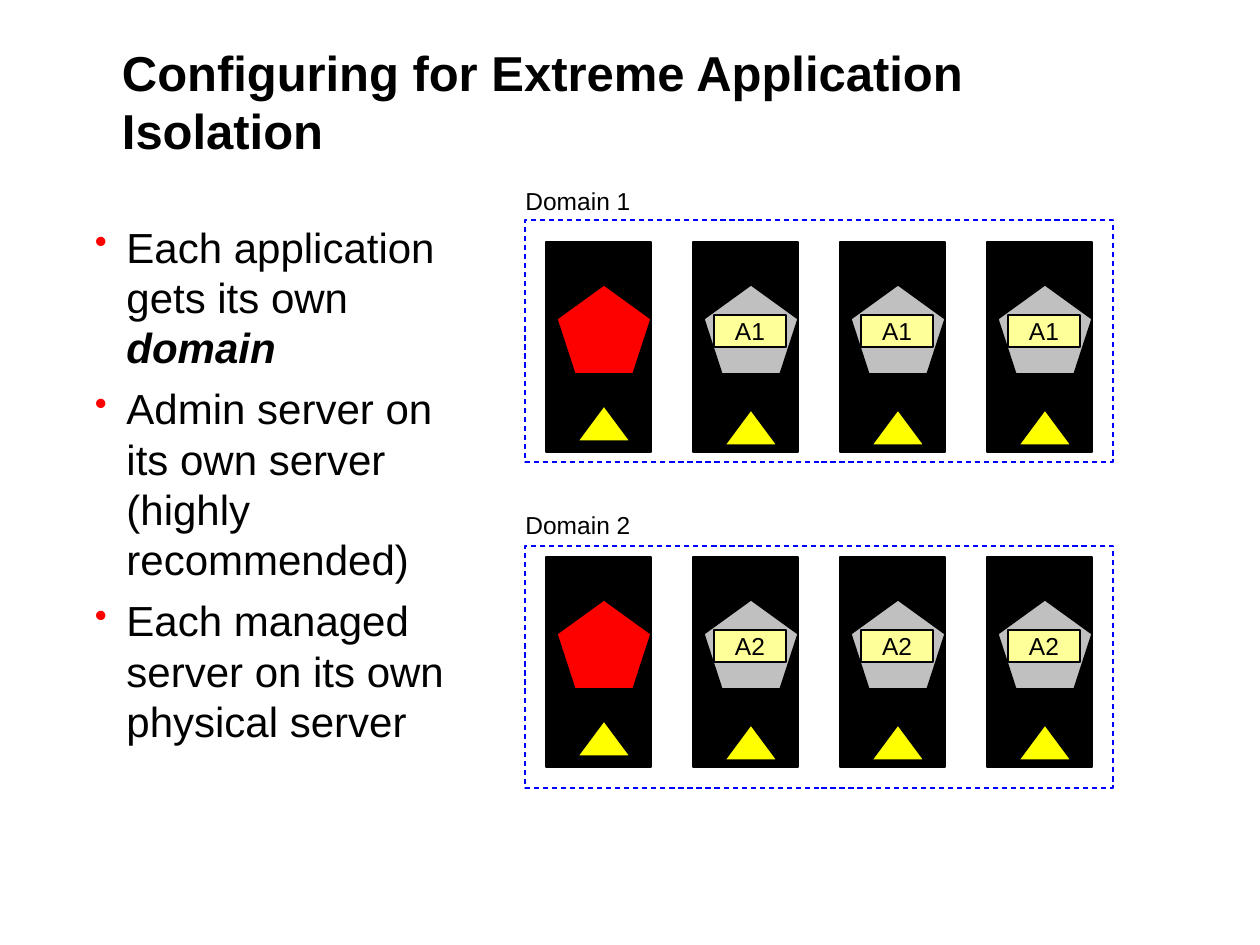
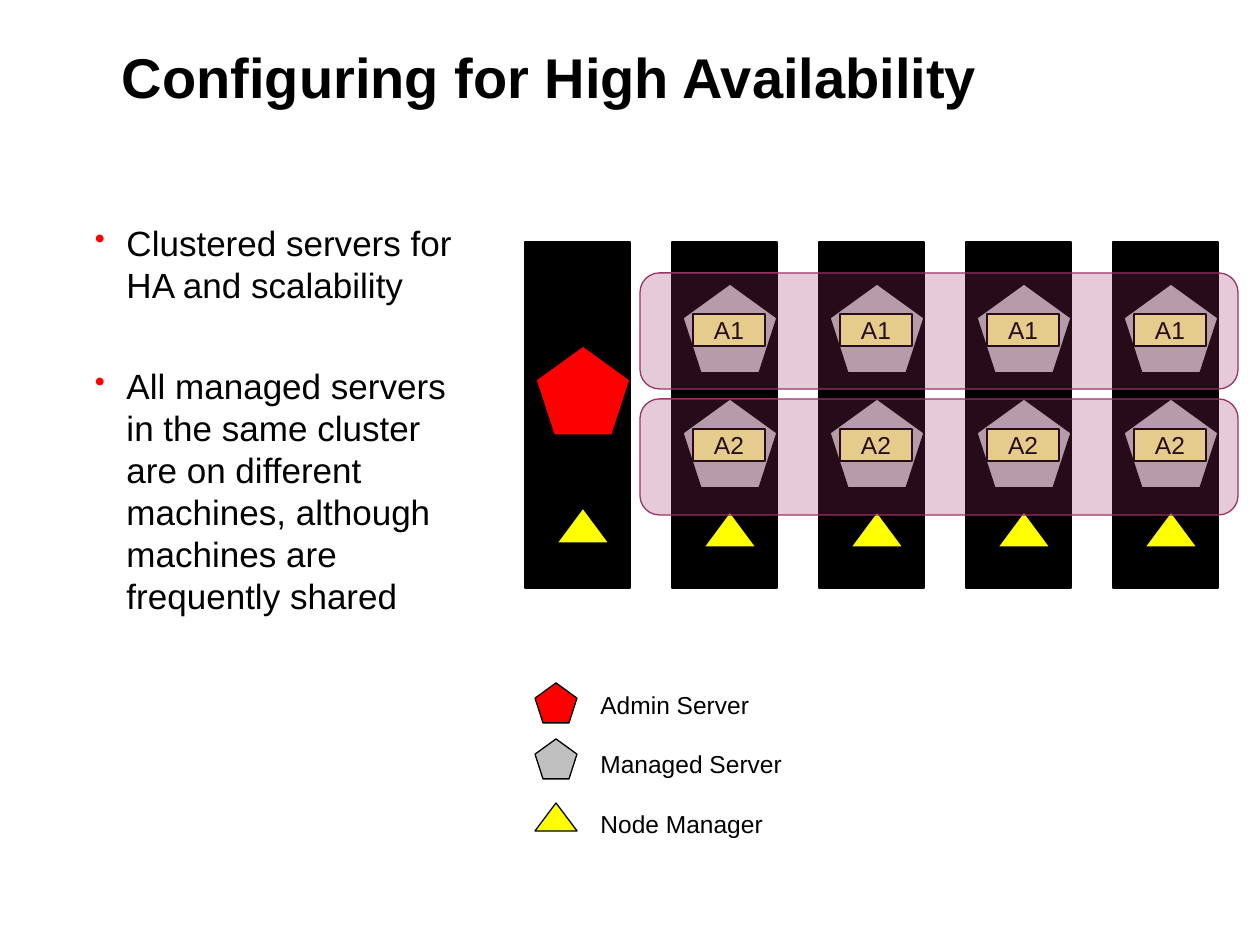
from lxml import etree
from pptx import Presentation
from pptx import util as u
from pptx.dml.color import RGBColor
from pptx.enum import dml, shapes, text
from pptx.oxml.ns import qn

PX_PER_INCH = 126
FONT = "Arial"
COLORS = {
    "ink": "000000",
    "admin": "FD0000",
    "managed": "C0C0C0",
    "node": "FFFF00",
    "app": "FFFF99",
    "domain": "0000FF",
    "cluster": "993366",
}
RECT = shapes.MSO_SHAPE.RECTANGLE
PENTAGON = shapes.MSO_SHAPE.REGULAR_PENTAGON
TRIANGLE = shapes.MSO_SHAPE.ISOSCELES_TRIANGLE
ROUNDED = shapes.MSO_SHAPE.ROUNDED_RECTANGLE

MACHINE_WIDTH, MACHINE_PITCH = 105, 147


def px(length):
    return u.Emu(round(length * 914400 / PX_PER_INCH))


def color(name):
    return RGBColor.from_string(COLORS[name])


def set_font(paragraph, size, bold=False):
    font = paragraph.font
    font.name, font.size, font.bold = FONT, u.Pt(size), bold
    font.color.rgb = color("ink")


def add_part(slide, preset, box, fill=None, line="ink"):
    part = slide.shapes.add_shape(preset, *map(px, box))
    part.shadow.inherit = False
    if fill:
        part.fill.solid()
        part.fill.fore_color.rgb = color(fill)
    else:
        part.fill.background()
    part.line.color.rgb = color(line)
    part.line.width = u.Pt(0.75)
    return part


def add_text(slide, box, lines, size, bold=False, gap=0, inset=True, wrap=True):
    frame = slide.shapes.add_textbox(*map(px, box)).text_frame
    frame.word_wrap = wrap
    if not inset:
        frame.margin_left = frame.margin_right = 0
        frame.margin_top = frame.margin_bottom = 0
    for index, line in enumerate(lines):
        paragraph = frame.add_paragraph() if index else frame.paragraphs[0]
        paragraph.text = line
        if index and gap:
            paragraph.space_before = u.Pt(gap)
        set_font(paragraph, size, bold)
    return frame


def add_bullet(paragraph):
    props = paragraph._p.get_or_add_pPr()
    props.set("marL", str(u.Inches(0.25)))
    props.set("indent", str(-u.Inches(0.25)))
    tint = etree.SubElement(props, qn("a:buClr"))
    etree.SubElement(tint, qn("a:srgbClr"), val=COLORS["admin"])
    etree.SubElement(props, qn("a:buSzPct"), val="85000")
    etree.SubElement(props, qn("a:buChar"), char="•")


# Title and bullet column shared by both slides
def add_title(slide, title, size):
    add_text(slide, (122, 42, 1045, 130), [title], size, bold=True, inset=False)


def add_bullets(slide, width, points, size, gap):
    frame = add_text(slide, (95, 221, width, 599), points, size, inset=False)
    for index, paragraph in enumerate(frame.paragraphs):
        add_bullet(paragraph)
        if index:
            paragraph.space_before = u.Pt(gap)
    return frame


# Servers, placed relative to the top left corner of their machine
def add_machine(slide, x, y, height):
    add_part(slide, RECT, (x, y, MACHINE_WIDTH, height), "ink")


def add_server(slide, x, y, kind):
    add_part(slide, PENTAGON, (x + 11, y, 94, 89), kind)


def add_node_manager(slide, x, y):
    add_part(slide, TRIANGLE, (x + 32, y, 52, 35), "node")


def add_managed_server(slide, x, y, app):
    add_server(slide, x, y, "managed")
    label = add_part(slide, RECT, (x + 21, y + 30, 72, 32), "app")
    frame = label.text_frame
    frame.vertical_anchor = text.MSO_ANCHOR.MIDDLE
    paragraph = frame.paragraphs[0]
    paragraph.text = app
    paragraph.alignment = text.PP_ALIGN.CENTER
    set_font(paragraph, 14)


def add_machines(slide, x, y, height, count, admin_y, node_y, app_rows):
    """One admin machine, then managed machines; app_rows maps app to its y."""
    for column in range(count):
        left = x + column * MACHINE_PITCH
        add_machine(slide, left, y, height)
        if column == 0:
            add_server(slide, left, y + admin_y, "admin")
            add_node_manager(slide, left, y + node_y - 4)
        else:
            add_node_manager(slide, left, y + node_y)
            for app, row_y in app_rows.items():
                add_managed_server(slide, left, y + row_y, app)


def add_domain(slide, x, y, name, app, machines_y, label_y):
    add_machines(slide, x + 21, y + machines_y, 210, 4, 43, 168, {app: 43})
    border = add_part(slide, RECT, (x, y, 588, 242), line="domain")
    border.line.dash_style = dml.MSO_LINE.DASH
    add_text(slide, (x - 12, y + label_y, 130, 43), [name], 14, wrap=False)


def add_cluster(slide, x, y):
    band = add_part(slide, ROUNDED, (x, y, 598, 116), "cluster", "cluster")
    tint = band._element.spPr.find(qn("a:solidFill")).find(qn("a:srgbClr"))
    etree.SubElement(tint, qn("a:alpha"), val="25000")


def add_legend(slide, x, y):
    add_part(slide, PENTAGON, (x, y, 42, 40), "admin")
    add_part(slide, PENTAGON, (x, y + 56, 42, 40), "managed")
    add_part(slide, TRIANGLE, (x, y + 120, 42, 28), "node")
    names = ["Admin Server", "Managed Server", "Node Manager"]
    add_text(slide, (x + 53, y + 1, 231, 160), names, 14, gap=17)


def build_isolation(slide):
    add_title(slide, "Configuring for Extreme Application Isolation", 28)
    points = [
        "Each application gets its own ",
        "Admin server on its own server (highly recommended)",
        "Each managed server on its own physical server",
    ]
    frame = add_bullets(slide, 378, points, 24, 6)
    emphasis = frame.paragraphs[0].add_run()
    emphasis.text = "domain"
    emphasis.font.bold = emphasis.font.italic = True
    add_domain(slide, 525, 220, "Domain 1", "A1", 22, -40)
    add_domain(slide, 525, 546, "Domain 2", "A2", 11, -42)


def build_availability(slide):
    add_title(slide, "Configuring for High Availability", 32)
    points = [
        "Clustered servers for HA and scalability",
        "All managed servers in the same cluster are on different machines, "
        "although machines are frequently shared",
    ]
    add_bullets(slide, 357, points, 20, 34)
    add_machines(slide, 525, 242, 346, 5, 104, 270, {"A1": 42, "A2": 157})
    for row in range(2):
        add_cluster(slide, 640, 273 + row * 126)
    add_legend(slide, 535, 683)


def main():
    deck = Presentation()
    deck.slide_width, deck.slide_height = px(1260), px(945)
    blank = deck.slide_layouts[6]
    for build in (build_isolation, build_availability):
        build(deck.slides.add_slide(blank))
    deck.save("out.pptx")


if __name__ == "__main__":
    main()
